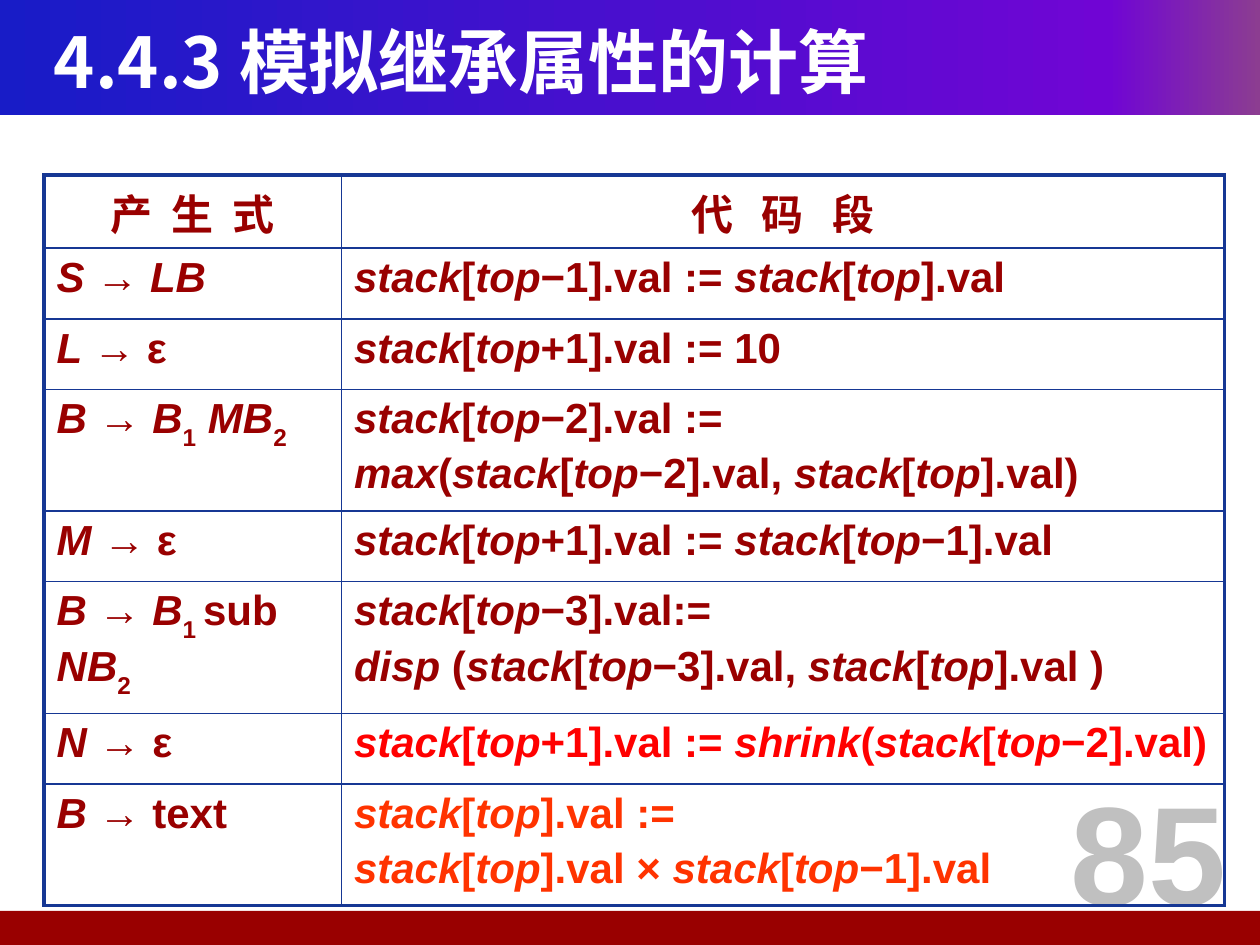
import copy
from dataclasses import dataclass

import lxml.etree
import pptx
import pptx.dml.color
import pptx.enum.shapes
import pptx.enum.text
import pptx.oxml.ns
import pptx.util

Inches = pptx.util.Inches
Pt = pptx.util.Pt
qn = pptx.oxml.ns.qn
Align = pptx.enum.text.PP_ALIGN
Anchor = pptx.enum.text.MSO_ANCHOR


@dataclass(frozen=True)
class Theme:
    latin: str = "Arial"
    chinese: str = "Noto Sans CJK SC"
    white: str = "FFFFFF"
    dark_red: str = "990000"
    red: str = "FF0000"
    orange: str = "FF3300"
    gray: str = "C0C0C0"
    border: str = "163794"
    banner: tuple = ((0, "181CC7"), (0.88, "7005D4"), (1, "8C3D91"))
    title_size: float = 40
    body_size: float = 24
    number_size: float = 80
    paragraph_gap: float = 4.8
    outer_line: float = 2.25
    inner_line: float = 1


THEME = Theme()


@dataclass(frozen=True)
class Rule:
    """A production and its code; *...* is italic and _..._ is subscript."""
    production: str
    code: tuple
    height: float = 0.56
    color: str = THEME.dark_red
    align: Align = Align.LEFT


RULES = (
    Rule("*S *→* LB*", ("*stack*[*top*−1].val := *stack*[*top*].val",)),
    Rule("*L *→ ε", ("*stack*[*top*+1].val := 10",)),
    Rule("*B *→* B*_1_* MB*_2_",
         ("*stack*[*top*−2].val :=",
          "*max*(*stack*[*top*−2].val, *stack*[*top*].val)"),
         height=0.9, align=Align.JUSTIFY),
    Rule("*M *→ ε", ("*stack*[*top*+1].val := *stack*[*top*−1].val",)),
    Rule("*B *→* B*_1 _sub* NB*_2_",
         ("*stack*[*top*−3].val:=",
          "*disp* (*stack*[*top*−3].val, *stack*[*top*].val )"),
         height=0.98, align=Align.JUSTIFY),
    Rule("*N *→ ε",
         ("*stack*[*top*+1].val := *shrink*(*stack*[*top*−2].val)",),
         color=THEME.red),
    Rule("*B *→ text",
         ("*stack*[*top*].val :=",
          "*stack*[*top*].val ×* stack*[*top*−1].val"),
         height=0.9, color=THEME.orange),
)
HEADERS = (("产 生 式", 2.7), ("代 码 段", 5.4))
HEADER_HEIGHT = 0.58
COLUMN_WIDTHS = (2.36, 7.01)


def rgb(color: str) -> pptx.dml.color.RGBColor:
    return pptx.dml.color.RGBColor.from_string(color)


def split_markup(text: str) -> list[tuple[str, bool, bool]]:
    """Split marked text into (text, italic, subscript) pieces."""
    pieces = []
    for i, part in enumerate(text.split("*")):
        for j, piece in enumerate(part.split("_")):
            if piece:
                pieces.append((piece, i % 2 == 1, j % 2 == 1))
    return pieces


def write_text(frame, *lines: str, size: float = THEME.body_size,
               color: str = THEME.dark_red, font: str = THEME.latin,
               align: Align = Align.LEFT, letter_spacing: float = 0) -> None:
    frame.word_wrap = True
    for index, line in enumerate(lines):
        paragraph = frame.add_paragraph() if index else frame.paragraphs[0]
        paragraph.alignment = align
        if index:
            paragraph.space_before = Pt(THEME.paragraph_gap)
        for piece, italic, subscript in split_markup(line):
            run = paragraph.add_run()
            run.text = piece
            run.font.size = Pt(size)
            run.font.bold = True
            run.font.italic = italic
            run.font.color.rgb = rgb(color)
            run.font.name = font
            properties = run.font._element
            lxml.etree.SubElement(properties, qn("a:ea"), typeface=font)
            if subscript:
                properties.set("baseline", "-30000")
            if letter_spacing:
                properties.set("spc", str(round(letter_spacing * 100)))


def add_text_box(slide, left: float, top: float, width: float, height: float,
                 text: str, anchor: Anchor = Anchor.TOP, **text_format) -> None:
    box = slide.shapes.add_textbox(
        Inches(left), Inches(top), Inches(width), Inches(height))
    box.text_frame.vertical_anchor = anchor
    write_text(box.text_frame, text, **text_format)


def add_bar(slide, left: float, top: float, width: float, height: float):
    bar = slide.shapes.add_shape(
        pptx.enum.shapes.MSO_SHAPE.RECTANGLE,
        Inches(left), Inches(top), Inches(width), Inches(height))
    bar.shadow.inherit = False
    bar.line.fill.background()
    return bar


def fill_gradient(shape, stops: tuple) -> None:
    shape.fill.gradient()
    shape.fill.gradient_angle = 0
    stop_list = shape._element.spPr.find(f".//{qn('a:gsLst')}")
    while len(stop_list) < len(stops):
        stop_list.append(copy.deepcopy(stop_list[-1]))
    for stop, (position, color) in zip(shape.fill.gradient_stops, stops):
        stop.position = position
        stop.color.rgb = rgb(color)


def set_borders(cell, **outer: bool) -> None:
    """Draw all four sides, thick where the side is on the table's edge."""
    cell.fill.background()
    properties = cell._tc.get_or_add_tcPr()
    for index, (side, tag) in enumerate(
            (("left", "a:lnL"), ("right", "a:lnR"),
             ("top", "a:lnT"), ("bottom", "a:lnB"))):
        width = THEME.outer_line if outer[side] else THEME.inner_line
        line = lxml.etree.Element(qn(tag), w=str(int(Pt(width))))
        fill = lxml.etree.SubElement(line, qn("a:solidFill"))
        lxml.etree.SubElement(fill, qn("a:srgbClr"), val=THEME.border)
        properties.insert(index, line)


def add_rule_table(slide) -> None:
    heights = [HEADER_HEIGHT] + [rule.height for rule in RULES]
    table = slide.shapes.add_table(
        len(heights), len(COLUMN_WIDTHS), Inches(0.35), Inches(1.39),
        Inches(sum(COLUMN_WIDTHS)), Inches(sum(heights))).table
    table.first_row = False
    table.horz_banding = False
    for column, width in zip(table.columns, COLUMN_WIDTHS):
        column.width = Inches(width)
    last_row, last_column = len(heights) - 1, len(COLUMN_WIDTHS) - 1
    for i, height in enumerate(heights):
        table.rows[i].height = Inches(height)
        for j in range(len(COLUMN_WIDTHS)):
            set_borders(table.cell(i, j), left=j == 0, right=j == last_column,
                        top=i == 0, bottom=i == last_row)
    for j, (header, spacing) in enumerate(HEADERS):
        write_text(table.cell(0, j).text_frame, header, font=THEME.chinese,
                   align=Align.CENTER, letter_spacing=spacing)
    for i, rule in enumerate(RULES, start=1):
        write_text(table.cell(i, 0).text_frame, rule.production)
        write_text(table.cell(i, 1).text_frame, *rule.code,
                   color=rule.color, align=rule.align)


def main() -> None:
    presentation = pptx.Presentation()
    presentation.slide_width = Inches(10)
    presentation.slide_height = Inches(7.5)
    slide = presentation.slides.add_slide(presentation.slide_layouts[6])

    fill_gradient(add_bar(slide, 0, 0, 10, 0.91), THEME.banner)
    footer = add_bar(slide, -0.04, 7.23, 10.04, 0.27)
    footer.fill.solid()
    footer.fill.fore_color.rgb = rgb(THEME.dark_red)

    add_text_box(slide, 0.33, 0.17, 9.25, 0.62, "4.4.3 模拟继承属性的计算",
                 anchor=Anchor.MIDDLE, size=THEME.title_size,
                 color=THEME.white, font=THEME.chinese)
    add_text_box(slide, 8.23, 6.03, 1.77, 1.42, "85", size=THEME.number_size,
                 color=THEME.gray, align=Align.CENTER)
    add_rule_table(slide)
    presentation.save("out.pptx")


if __name__ == "__main__":
    main()
